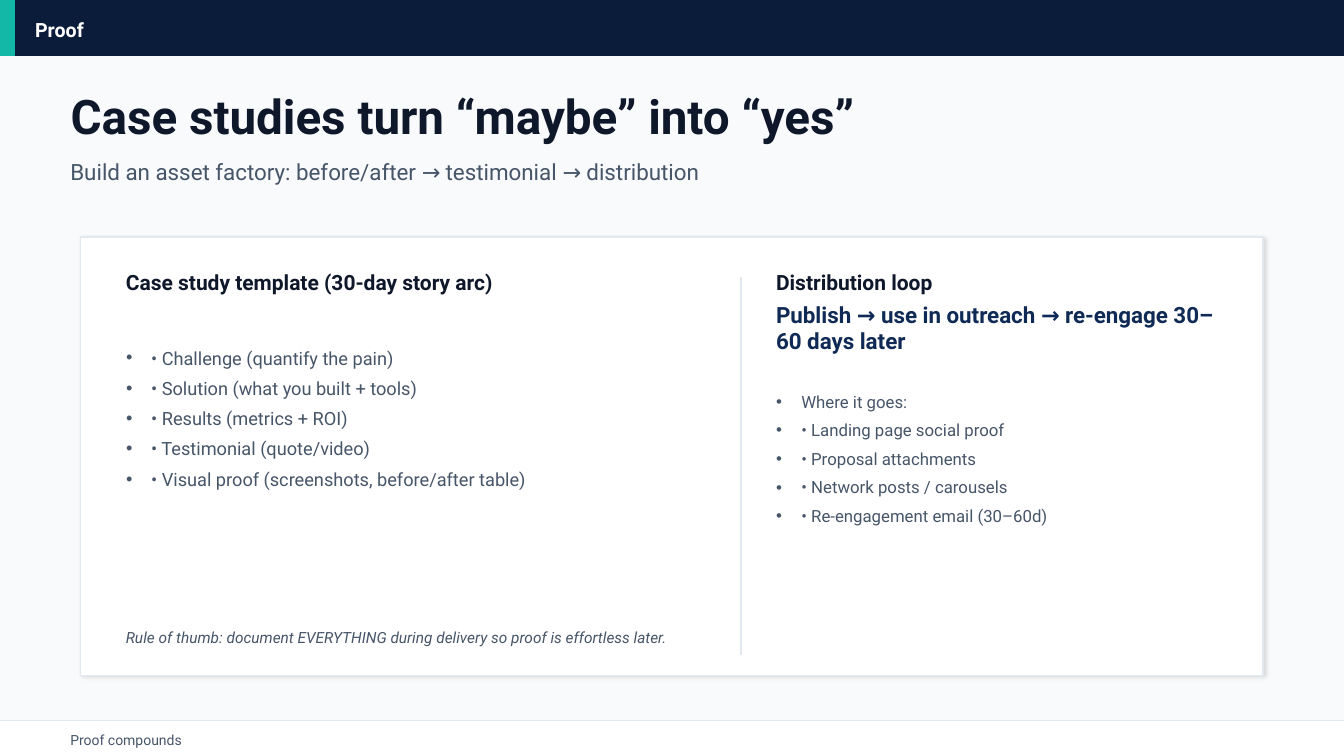
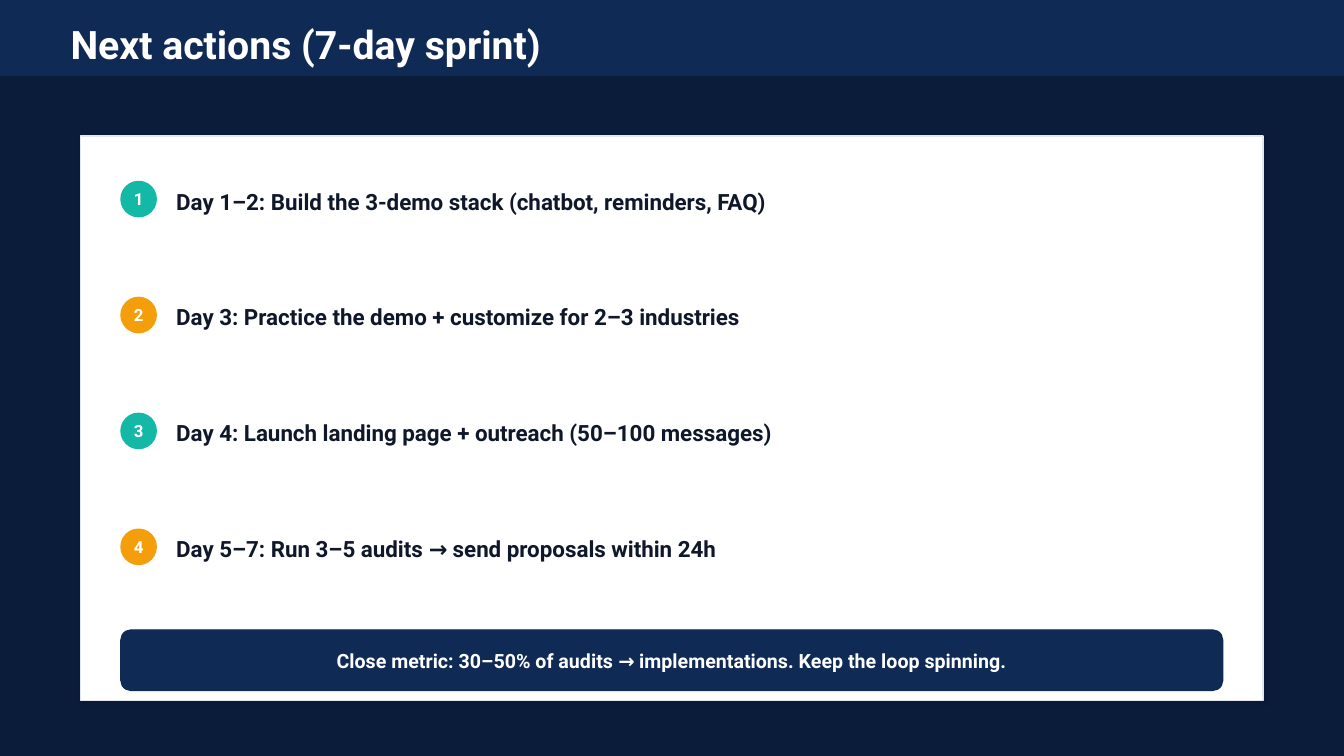
from lxml.etree import SubElement
from pptx import Presentation
from pptx.dml.color import RGBColor
from pptx.enum.shapes import MSO_CONNECTOR, MSO_SHAPE
from pptx.enum.text import MSO_ANCHOR, MSO_AUTO_SIZE, PP_ALIGN
from pptx.oxml.ns import qn
from pptx.util import Inches, Pt

# Grid of 0.1 inch cells
COLUMNS, ROWS = 133.33, 75
MARGIN, TEXT_WIDTH = 6, 121.3
CARD_LEFT, CARD_WIDTH = 8, 117.3

FONT = "Roboto"
NAVY, BLUE, TEAL, AMBER = "0B1B3A", "102A56", "14B8A6", "F59E0B"
INK, SLATE, RULE, MIST, WHITE = "0F172A", "475569", "E2E8F0", "F8FAFC", "FFFFFF"


def cells(count):
    return Inches(count / 10)


def color(hex_code):
    return RGBColor.from_string(hex_code)


def write(frame, *lines, size=14, ink=INK, bold=False, italic=False,
          align=PP_ALIGN.LEFT, after=0, bullet=None):
    """Fill a text frame with one paragraph per line."""
    frame.word_wrap = True
    frame.auto_size = MSO_AUTO_SIZE.NONE
    frame.vertical_anchor = MSO_ANCHOR.MIDDLE
    for number, line in enumerate(lines):
        paragraph = frame.add_paragraph() if number else frame.paragraphs[0]
        paragraph.alignment = align
        paragraph.space_before, paragraph.space_after = Pt(0), Pt(after)
        if bullet:
            properties = paragraph._p.get_or_add_pPr()
            properties.set("marL", str(Inches(0.25)))
            properties.set("indent", str(-Inches(0.25)))
            SubElement(properties, qn("a:buChar"), char=bullet)
        run = paragraph.add_run()
        run.text = line
        font = run.font
        font.name, font.size, font.bold, font.italic = FONT, Pt(size), bold, italic
        font.color.rgb = color(ink)


class Deck:
    """Holds the style and the slide being built."""

    def __init__(self):
        self.file = Presentation()
        self.file.slide_width, self.file.slide_height = cells(COLUMNS), cells(ROWS)
        self.slide = None

    def new_slide(self, layout, background):
        self.slide = self.file.slides.add_slide(self.file.slide_layouts[layout])
        fill = self.slide.background.fill
        fill.solid()
        fill.fore_color.rgb = color(background)

    def block(self, box, fill, line=None, form=MSO_SHAPE.RECTANGLE):
        block = self.slide.shapes.add_shape(form, *map(cells, box))
        block.shadow.inherit = False
        block.fill.solid()
        block.fill.fore_color.rgb = color(fill)
        block.line.color.rgb = color(line or fill)
        block.line.width = Pt(1)
        return block

    def label(self, box, fill, form, text, **style):
        frame = self.block(box, fill, form=form).text_frame
        frame.margin_left = frame.margin_right = 0
        frame.margin_top = frame.margin_bottom = 0
        write(frame, text, ink=WHITE, bold=True, align=PP_ALIGN.CENTER, **style)

    def card(self, top, height):
        card = self.block((CARD_LEFT, top, CARD_WIDTH, height), WHITE, RULE)
        effects = card.element.spPr.find(qn("a:effectLst"))
        shadow = SubElement(effects, qn("a:outerShdw"), blurRad=str(Pt(3)),
                            dist=str(Pt(1.5)), dir=str(45 * 60000), rotWithShape="0")
        black = SubElement(shadow, qn("a:srgbClr"), val="000000")
        SubElement(black, qn("a:alpha"), val="12000")

    def rule(self, *ends):
        rule = self.slide.shapes.add_connector(MSO_CONNECTOR.STRAIGHT, *map(cells, ends))
        rule.line.color.rgb = color(RULE)
        rule.line.width = Pt(1)
        SubElement(rule.element.spPr, qn("a:effectLst"))

    def text(self, box, text, **style):
        write(self.slide.shapes.add_textbox(*map(cells, box)).text_frame, text, **style)

    def placeholder(self, index, box, *lines, **style):
        holder = self.slide.placeholders[index]
        holder.left, holder.top, holder.width, holder.height = map(cells, box)
        holder.element.getparent().append(holder.element)  # bring to front
        write(holder.text_frame, *lines, **style)

    def title(self, top, height, text, **style):
        self.placeholder(0, (MARGIN, top, TEXT_WIDTH, height), text, bold=True, **style)

    def bullets(self, index, box, *lines, **style):
        self.placeholder(index, box, *lines, ink=SLATE, after=6, bullet="•", **style)

    def band(self, height, fill):
        self.block((0, 0, COLUMNS, height), fill)

    def footer(self, text):
        top = ROWS - 3.5
        self.block((0, top, COLUMNS, 3.5), WHITE)
        self.rule(0, top, COLUMNS, top)
        self.text((MARGIN, top + 0.7, TEXT_WIDTH, 2.5), text, size=10, ink=SLATE)


def build_proof(deck):
    deck.new_slide(3, MIST)

    # Header
    deck.band(5.5, NAVY)
    deck.block((0, 0, 1.4, 5.5), TEAL)
    deck.text((2.5, 1.2, 128.3, 3.5), "Proof", ink=WHITE, bold=True)
    deck.title(8.5, 6, "Case studies turn “maybe” into “yes”", size=34)
    deck.text((MARGIN, 14.5, TEXT_WIDTH, 5),
              "Build an asset factory: before/after → testimonial → distribution",
              size=16, ink=SLATE)

    # Card with two columns
    deck.card(23.5, 43.5)
    template, loop = (11.5, 60), (76, 47.5)
    for (left, width), heading in ((template, "Case study template (30-day story arc)"),
                                   (loop, "Distribution loop")):
        deck.text((left, 26.2, width, 3.5), heading, size=15, bold=True)
    deck.rule(73.5, 27.5, 73.5, 65)

    # Case study template
    deck.bullets(1, (template[0], 30.5, template[1], 22),
                 "• Challenge (quantify the pain)",
                 "• Solution (what you built + tools)",
                 "• Results (metrics + ROI)",
                 "• Testimonial (quote/video)",
                 "• Visual proof (screenshots, before/after table)", size=13)
    deck.text((template[0], 61.5, 110.3, 3.5),
              "Rule of thumb: document EVERYTHING during delivery so proof is effortless later.",
              size=11, ink=SLATE, italic=True)

    # Distribution loop
    deck.text((loop[0], 30.5, loop[1], 4),
              "Publish → use in outreach → re-engage 30–60 days later",
              size=16, ink=BLUE, bold=True)
    deck.bullets(2, (loop[0], 35.5, loop[1], 20),
                 "Where it goes:",
                 "• Landing page social proof",
                 "• Proposal attachments",
                 "• Network posts / carousels",
                 "• Re-engagement email (30–60d)", size=12)

    deck.footer("Proof compounds")


def build_next_actions(deck):
    deck.new_slide(5, NAVY)

    # Header and card
    deck.band(7.5, BLUE)
    deck.title(1.8, 5, "Next actions (7-day sprint)", size=28, ink=WHITE)
    deck.card(13.5, 56)

    # Numbered actions
    actions = ("Day 1–2: Build the 3-demo stack (chatbot, reminders, FAQ)",
               "Day 3: Practice the demo + customize for 2–3 industries",
               "Day 4: Launch landing page + outreach (50–100 messages)",
               "Day 5–7: Run 3–5 audits → send proposals within 24h")
    for step, action in enumerate(actions):
        top = 18 + 11.5 * step
        deck.label((12, top, 3.5, 3.5), (TEAL, AMBER)[step % 2], MSO_SHAPE.OVAL,
                   str(step + 1), size=12)
        deck.text((16.5, top - 0.3, 103.8, 4.5), action, size=16, bold=True)

    # Close metric
    deck.label((12, 62.5, 109.3, 6), BLUE, MSO_SHAPE.ROUNDED_RECTANGLE,
               "Close metric: 30–50% of audits → implementations. Keep the loop spinning.")


def main():
    deck = Deck()
    build_proof(deck)
    build_next_actions(deck)
    deck.file.save("out.pptx")


if __name__ == "__main__":
    main()
